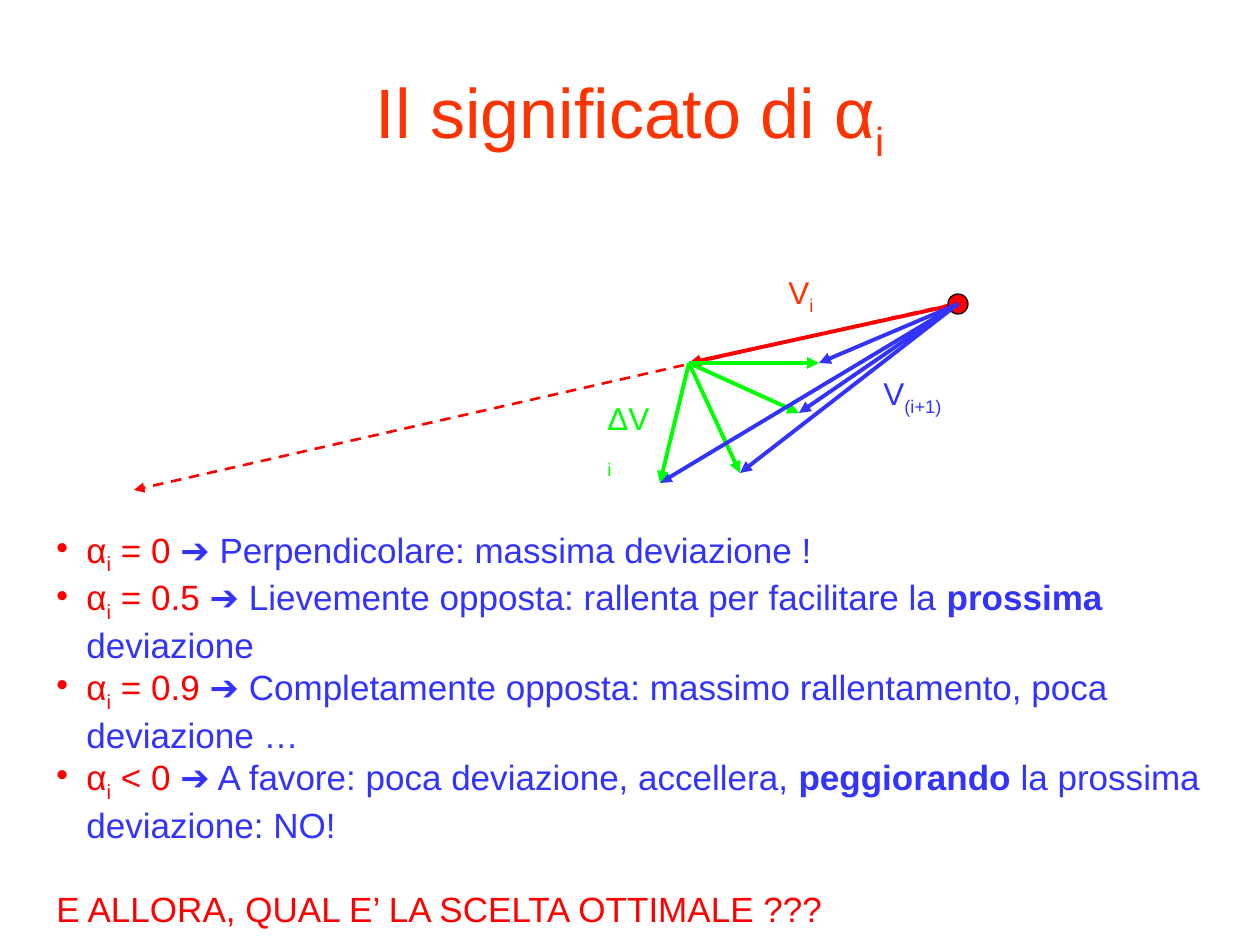
from lxml.etree import SubElement
from pptx import Presentation
from pptx.dml.color import RGBColor
from pptx.enum.dml import MSO_LINE
from pptx.enum.shapes import MSO_CONNECTOR, MSO_SHAPE
from pptx.enum.text import MSO_ANCHOR, PP_ALIGN
from pptx.oxml.ns import qn
from pptx.util import Emu, Pt

PX_PER_INCH = 126
FONT = "Arial"
ORANGE, RED, BLUE, GREEN, BLACK = "FF3300", "FF0000", "3333FF", "00FF00", "000000"

# A run is (text, colour, style); style is "", "sub" or "bold".
TITLE = [("Il significato di α", ORANGE, ""), ("i", ORANGE, "sub")]

# symbol, subscript, colour, box, wraps
LABELS = [
    ("V", "i", ORANGE, (776, 267, 50, 55), False),
    ("V", "(i+1)", BLUE, (871, 368, 83, 55), False),
    ("ΔV", "i", GREEN, (595, 393, 69, 55), True),
]

# value of alpha, then text before, in and after the bold part
CASES = [
    ("= 0", "Perpendicolare: massima deviazione !", "", ""),
    ("= 0.5", "Lievemente opposta: rallenta per facilitare la ", "prossima ", "deviazione"),
    ("= 0.9", "Completamente opposta: massimo rallentamento, poca deviazione …", "", ""),
    ("< 0", "A favore: poca deviazione, accellera, ", "peggiorando ",
     "la prossima deviazione: NO!"),
]
QUESTION = "E ALLORA, QUAL E’ LA SCELTA OTTIMALE ???"

START, BEND = (958, 304), (689, 363)
DASH_START, DASH_END = (953, 304), (134, 490)
TIPS = [(799, 413), (740, 473), (660, 483), (819, 363)]
DOT_SIZE = 20
BULLET_INDENT = 30


def px(n):
    return Emu(round(n * 914400 / PX_PER_INCH))


def rgb(color):
    return RGBColor.from_string(color)


def add_runs(p, runs, size):
    for text, color, style in runs:
        r = p.add_run()
        r.text = text
        r.font.name = FONT
        r.font.size = Pt(size)
        r.font.color.rgb = rgb(color)
        if style == "bold":
            r.font.bold = True
        elif style == "sub":
            r._r.get_or_add_rPr().set("baseline", "-25000")


def add_text_box(s, box, wrap=True):
    tf = s.shapes.add_textbox(*map(px, box)).text_frame
    tf.word_wrap = wrap
    return tf


def add_bullet(p, color):
    pPr = p._p.get_or_add_pPr()
    pPr.set("marL", str(px(BULLET_INDENT)))
    pPr.set("indent", str(-px(BULLET_INDENT)))
    SubElement(SubElement(pPr, qn("a:buClr")), qn("a:srgbClr"), val=color)
    SubElement(pPr, qn("a:buChar"), char="•")


def add_arrow(s, start, end, color, width=2.25, dashed=False):
    c = s.shapes.add_connector(MSO_CONNECTOR.STRAIGHT, *map(px, start + end))
    c.line.color.rgb = rgb(color)
    c.line.width = Pt(width)
    if dashed:
        c.line.dash_style = MSO_LINE.DASH
    SubElement(c.line._get_or_add_ln(), qn("a:tailEnd"), type="triangle")
    SubElement(c._element.spPr, qn("a:effectLst"))


def add_dot(s, center):
    x, y = (v - DOT_SIZE / 2 for v in center)
    sp = s.shapes.add_shape(MSO_SHAPE.OVAL, *map(px, (x, y, DOT_SIZE, DOT_SIZE)))
    sp.shadow.inherit = False
    sp.fill.solid()
    sp.fill.fore_color.rgb = rgb(RED)
    sp.line.color.rgb = rgb(BLACK)
    sp.line.width = Pt(0.75)


def add_diagram(s):
    add_arrow(s, DASH_START, DASH_END, RED, 1.5, dashed=True)
    add_arrow(s, START, BEND, RED)
    add_dot(s, START)
    for tip in TIPS:
        add_arrow(s, START, tip, BLUE)
        add_arrow(s, BEND, tip, GREEN)
    for symbol, sub, color, box, wrap in LABELS:
        tf = add_text_box(s, box, wrap)
        add_runs(tf.paragraphs[0], [(symbol, color, ""), (sub, color, "sub")], 18)


def add_cases(s):
    tf = add_text_box(s, (44, 522, 1191, 415))
    for i, (value, before, bold, after) in enumerate(CASES):
        p = tf.add_paragraph() if i else tf.paragraphs[0]
        add_bullet(p, RED)
        runs = [("α", RED, ""), ("i", RED, "sub"), (f" {value} ", RED, ""),
                (f"➔ {before}", BLUE, ""), (bold, BLUE, "bold"), (after, BLUE, "")]
        add_runs(p, [run for run in runs if run[0]], 20)
    p = tf.add_paragraph()
    p.space_before = Pt(24)
    add_runs(p, [(QUESTION, RED, "")], 20)


def main():
    prs = Presentation()
    prs.slide_width, prs.slide_height = px(1260), px(945)
    s = prs.slides.add_slide(prs.slide_layouts[6])

    tf = add_text_box(s, (63, 38, 1134, 157))
    tf.vertical_anchor = MSO_ANCHOR.MIDDLE
    tf.paragraphs[0].alignment = PP_ALIGN.CENTER
    add_runs(tf.paragraphs[0], TITLE, 40)

    add_diagram(s)
    add_cases(s)
    prs.save("out.pptx")


if __name__ == "__main__":
    main()
